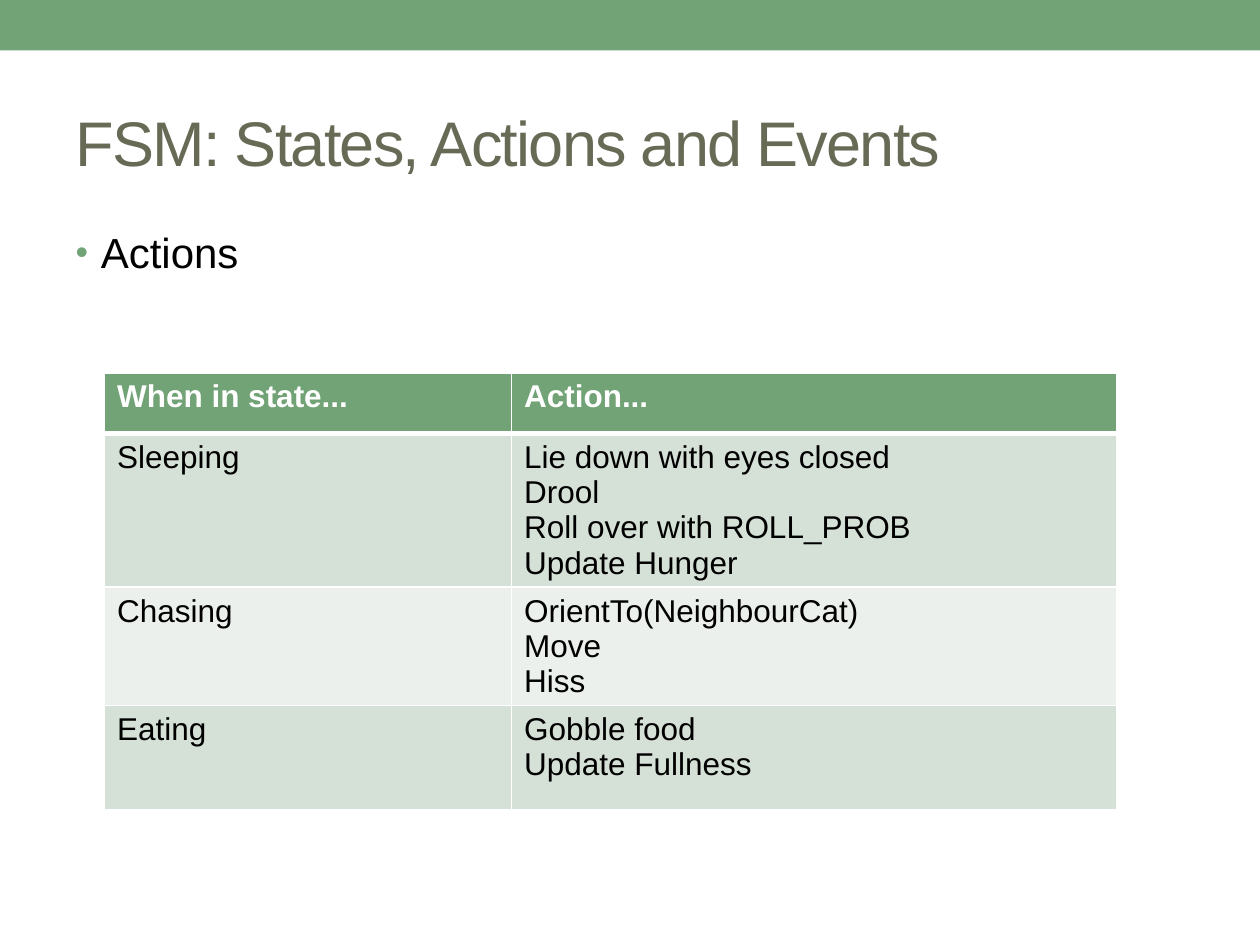
import pptx
import pptx.dml.color
import pptx.enum.shapes
import pptx.enum.text
import pptx.util
from lxml import etree
from pptx.oxml.ns import qn

Inches = pptx.util.Inches
Pt = pptx.util.Pt

COLORS = {
    "green": "72A376",
    "olive": "676A55",
    "black": "000000",
    "white": "FFFFFF",
    "band_dark": "D5E0D6",
    "band_light": "EBF0EC",
}


def format_runs(paragraph, size, color, bold=False):
    for run in paragraph.runs:
        run.font.name = "Arial"
        run.font.size = Pt(size)
        run.font.bold = bold
        run.font.color.rgb = pptx.dml.color.RGBColor.from_string(COLORS[color])


def add_border(cell, side, width):
    """Draw a white line on one side (L, R, T or B) of a cell."""
    line = etree.SubElement(cell._tc.get_or_add_tcPr(), qn(f"a:ln{side}"), w=str(Pt(width)))
    fill = etree.SubElement(line, qn("a:solidFill"))
    etree.SubElement(fill, qn("a:srgbClr"), val=COLORS["white"])


presentation = pptx.Presentation()
presentation.slide_width = Inches(10)
presentation.slide_height = Inches(7.5)
slide = presentation.slides.add_slide(presentation.slide_layouts[1])

# Top band
band = slide.shapes.add_shape(
    pptx.enum.shapes.MSO_SHAPE.RECTANGLE, 0, 0, Inches(10), Inches(0.4))
band.shadow.inherit = False
band.fill.solid()
band.fill.fore_color.rgb = pptx.dml.color.RGBColor.from_string(COLORS["green"])
band.line.fill.background()

# Title
title = slide.shapes.title
title.left, title.top = Inches(0.5), Inches(0.58)
title.width, title.height = Inches(9), Inches(1.08)
title.text_frame.text = "FSM: States, Actions and Events"
title.text_frame.vertical_anchor = pptx.enum.text.MSO_ANCHOR.MIDDLE
heading = title.text_frame.paragraphs[0]
heading.alignment = pptx.enum.text.PP_ALIGN.LEFT
format_runs(heading, 36, "olive")
heading.runs[0].font._element.set("spc", "-100")

# Bulleted topic
body = slide.placeholders[1]
body.left, body.top = Inches(0.5), Inches(1.75)
body.width, body.height = Inches(9), Inches(4.83)
body.text_frame.text = "Actions"
topic = body.text_frame.paragraphs[0]
topic.space_before = Pt(4.8)
format_runs(topic, 24, "black")
topic_properties = topic._p.get_or_add_pPr()
topic_properties.set("marL", str(Inches(0.2)))
topic_properties.set("indent", str(Inches(-0.2)))
bullet_color = etree.SubElement(topic_properties, qn("a:buClr"))
etree.SubElement(bullet_color, qn("a:srgbClr"), val=COLORS["green"])
etree.SubElement(topic_properties, qn("a:buSzPct"), val="85000")
etree.SubElement(topic_properties, qn("a:buFont"), typeface="Arial")
etree.SubElement(topic_properties, qn("a:buChar"), char="•")

# State and action table
state_rows = [
    (0.48, "green", "When in state...", ["Action..."]),
    (1.1, "band_dark", "Sleeping",
     ["Lie down with eyes closed", "Drool", "Roll over with ROLL_PROB", "Update Hunger"]),
    (0.94, "band_light", "Chasing", ["OrientTo(NeighbourCat)", "Move", "Hiss"]),
    (0.83, "band_dark", "Eating", ["Gobble food", "Update Fullness"]),
]
states = slide.shapes.add_table(
    len(state_rows), 2, Inches(0.83), Inches(2.96), Inches(8.03), Inches(3.35)).table
for column, width in zip(states.columns, (3.23, 4.8)):
    column.width = Inches(width)

for row_index, (height, fill_color, state, actions) in enumerate(state_rows):
    is_header = row_index == 0
    states.rows[row_index].height = Inches(height)
    for column_index, lines in enumerate(([state], actions)):
        cell = states.cell(row_index, column_index)
        cell.text_frame.text = "\n".join(lines)
        for paragraph in cell.text_frame.paragraphs:
            format_runs(paragraph, 18, "white" if is_header else "black", is_header)
        for side in "LRTB":
            header_rule = (row_index, side) in ((0, "B"), (1, "T"))
            add_border(cell, side, 3 if header_rule else 1)
        cell.fill.solid()
        cell.fill.fore_color.rgb = pptx.dml.color.RGBColor.from_string(COLORS[fill_color])

presentation.save("out.pptx")
